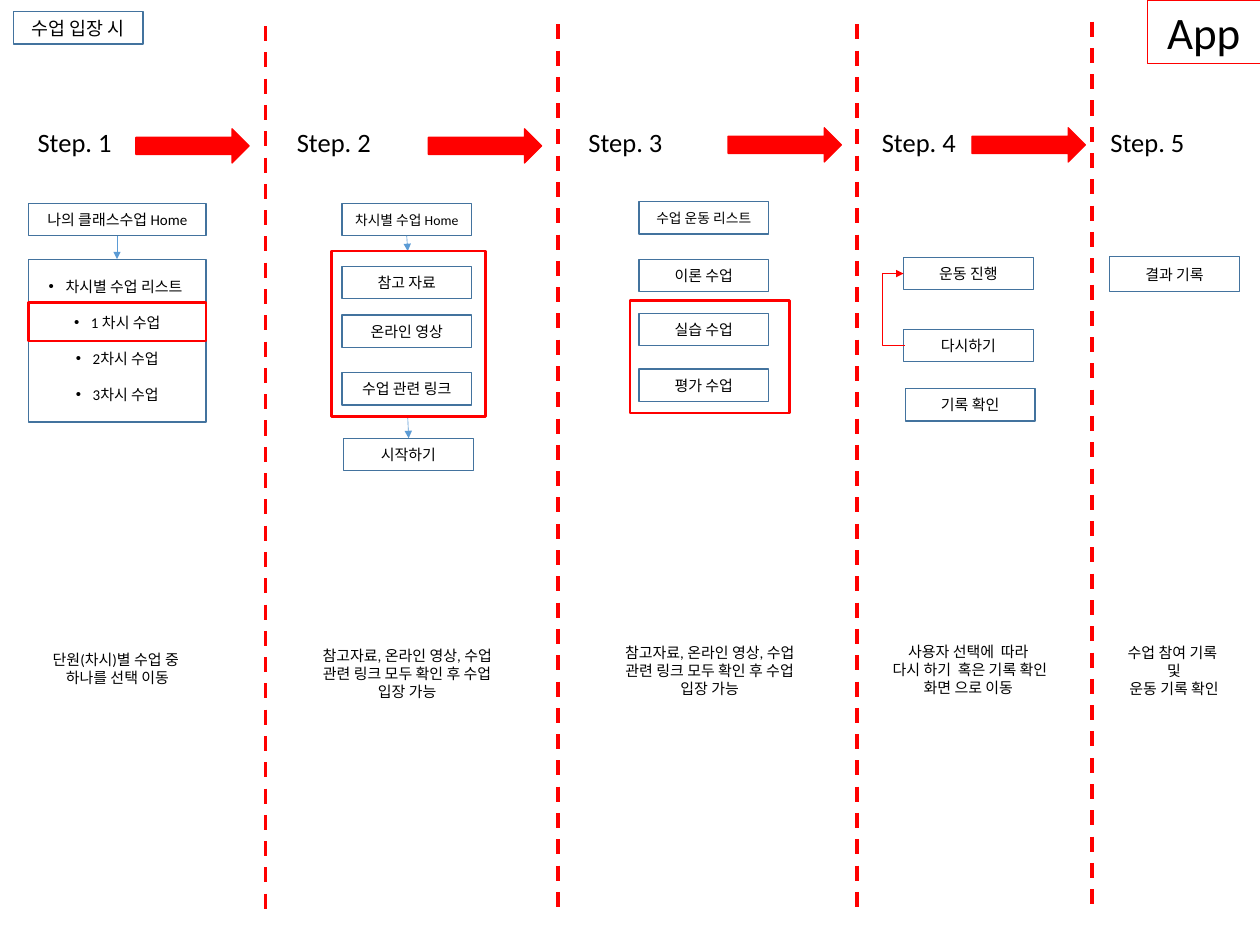
from pptx import Presentation
from pptx.util import Pt
from pptx.dml.color import RGBColor
from pptx.enum import dml, shapes, text
from pptx.oxml.ns import qn
from lxml import etree

RED, BLUE, NAVY, BLACK = "FF0000", "5B9BD5", "43739E", "000000"
BOX_W, BOX_H, WIDE = 103.7, 25.9, 141.8

# Boxes: left, top, text, size, width, height
BOXES = [
    (10.8, 9.4, "수업 입장 시", 14.7, BOX_W, BOX_H),
    (23, 162.7, "나의 클래스수업 Home", 12, WIDE, BOX_H),
    (887.8, 205.2, "결과 기록", 12, BOX_W, 28.1),
]
# Stacks of equal boxes: left, then (top, text, size)
STACKS = [
    (273.6, [(162.7, "차시별 수업 Home", 11), (213.1, "참고 자료", 12),
             (252, "온라인 영상", 12), (298.1, "수업 관련 링크", 12)]),
    (275, [(350.6, "시작하기", 12)]),
    (511.2, [(161.3, "수업 운동 리스트", 11), (207.4, "이론 수업", 12),
             (250.6, "실습 수업", 12), (295.2, "평가 수업", 12)]),
    (722.9, [(205.9, "운동 진행", 12), (263.5, "다시하기", 12)]),
    (724.3, [(311, "기록 확인", 12)]),
]
LESSONS = ["차시별 수업 리스트 ", "1 차시 수업", "2차시 수업", "3차시 수업"]
FRAMES = [(23, 241.9, WIDE, 31), (265, 200.9, 123.1, 132.5),
          (504, 240.5, 127.4, 90)]
FLOWS = [(93.6, 188.6, 93.6, 207.4), (326.2, 333.4, 326.9, 350.6),
         (325.4, 188.6, 326.2, 200.9)]
CHECK = ["참고자료, 온라인 영상, 수업 관련 링크 모두 확인 후 수업 입장 가능"]
# Notes: left, top, width, lines
NOTES = [
    (10.8, 517, 166.3, ["단원(차시)별 수업 중 ", "하나를 선택 이동"]),
    (242.6, 513.4, 166.3, CHECK),
    (484.6, 511.2, 166.3, CHECK),
    (694.1, 510.5, 161.3, ["사용자 선택에  따라", " 다시 하기  혹은 기록 확인",
                           " 화면 으로 이동 "]),
    (877, 511.2, 124.6, ["수업 참여 기록 ", "및", "운동 기록 확인"]),
]
STEPS = [23, 230.4, 463.7, 698.4, 881.3]
ARROWS = [(108.7, 103), (342.7, 103), (582.5, 102.2), (777.6, 102.2)]
RULES = [(212.4, 20.9), (446.4, 19.4), (685.4, 19.4), (873.4, 17.3)]
RULE_H = 715

deck = Presentation()
deck.slide_width, deck.slide_height = Pt(1008), Pt(756)
slide = deck.slides.add_slide(deck.slide_layouts[6])


def color(code):
    """Turn a hex string into a colour."""
    return RGBColor.from_string(code)


def write(shape, lines, size=12, align="CENTER", anchor="TOP", gap=0,
          bullet=None, grow=False):
    """Fill a shape with one paragraph per line."""
    frame = shape.text_frame
    frame.word_wrap = True
    frame.vertical_anchor = text.MSO_ANCHOR[anchor]
    if grow:
        frame.auto_size = text.MSO_AUTO_SIZE.SHAPE_TO_FIT_TEXT
    for i, line in enumerate(lines):
        para = frame.add_paragraph() if i else frame.paragraphs[0]
        para.alignment = text.PP_ALIGN[align]
        if i and gap:
            para.space_before = Pt(gap)
        if bullet:
            props = para._p.get_or_add_pPr()
            props.set("marL", str(Pt(13.5)))
            props.set("indent", str(-Pt(13.5)))
            etree.SubElement(props, qn("a:buFont")).set("typeface", "Arial")
            etree.SubElement(props, qn("a:buChar")).set("char", bullet)
        run = para.add_run()
        run.text = line
        run.font.name, run.font.size = "Calibri", Pt(size)
        run.font.color.rgb = color(BLACK)


def draw(x, y, w, h, line=NAVY, width=1, fill=None, kind="RECTANGLE"):
    """Add an outlined shape, filled on request."""
    shape = slide.shapes.add_shape(shapes.MSO_SHAPE[kind],
                                   Pt(x), Pt(y), Pt(w), Pt(h))
    shape.shadow.inherit = False
    if fill:
        shape.fill.solid()
        shape.fill.fore_color.rgb = color(fill)
    else:
        shape.fill.background()
    shape.line.color.rgb = color(line)
    shape.line.width = Pt(width)
    return shape


def label(x, y, w, h, lines, **form):
    """Add a text box."""
    write(slide.shapes.add_textbox(Pt(x), Pt(y), Pt(w), Pt(h)), lines,
          grow=True, **form)


def link(x1, y1, x2, y2, hue, width=0.5, kind="STRAIGHT", head=True):
    """Add a connector, with an arrowhead unless told otherwise."""
    line = slide.shapes.add_connector(shapes.MSO_CONNECTOR[kind],
                                      Pt(x1), Pt(y1), Pt(x2), Pt(y2))
    line.line.color.rgb = color(hue)
    line.line.width = Pt(width)
    if head:
        tail = etree.SubElement(line.line._get_or_add_ln(), qn("a:tailEnd"))
        tail.set("type", "triangle")
    etree.SubElement(line._element.spPr, qn("a:effectLst"))
    return line


for x, y, words, size, w, h in BOXES:
    write(draw(x, y, w, h), [words], size=size, anchor="MIDDLE")
for x, stack in STACKS:
    for y, words, size in stack:
        write(draw(x, y, BOX_W, BOX_H), [words], size=size, anchor="MIDDLE")
write(draw(23, 207.4, WIDE, 130.3), LESSONS, anchor="MIDDLE", gap=14.4,
      bullet="•")

for flow in FLOWS:
    link(*flow, BLUE)
for frame in FRAMES:
    draw(*frame, line=RED, width=2.25)
for x, y in RULES:
    rule = link(x, y, x, y + RULE_H, RED, width=3, head=False)
    rule.line.dash_style = dml.MSO_LINE.DASH

for x, y, w, lines in NOTES:
    label(x, y, w, 7.2 + 14.6 * max(2, len(lines)), lines)
for i, x in enumerate(STEPS, 1):
    label(x, 97.2, WIDE, 33.1, [f"Step. {i}"], size=21.2, align="LEFT")
for x, y in ARROWS:
    draw(x, y, 90.7, 27.4, line=RED, fill=RED, kind="RIGHT_ARROW")

# The retry loop swings 18 times its 1 pt width out to the left
retry = link(723.9, 276.5, 722.9, 218.9, RED, kind="ELBOW")
guides = retry._element.spPr.find(qn("a:prstGeom")).get_or_add_avLst()
guide = etree.SubElement(guides, qn("a:gd"))
guide.set("name", "adj1")
guide.set("fmla", "val 1800000")

write(draw(918, 0, 90, 51.1, line=RED, width=0.75), ["App"], size=36,
      grow=True)
deck.save("out.pptx")
